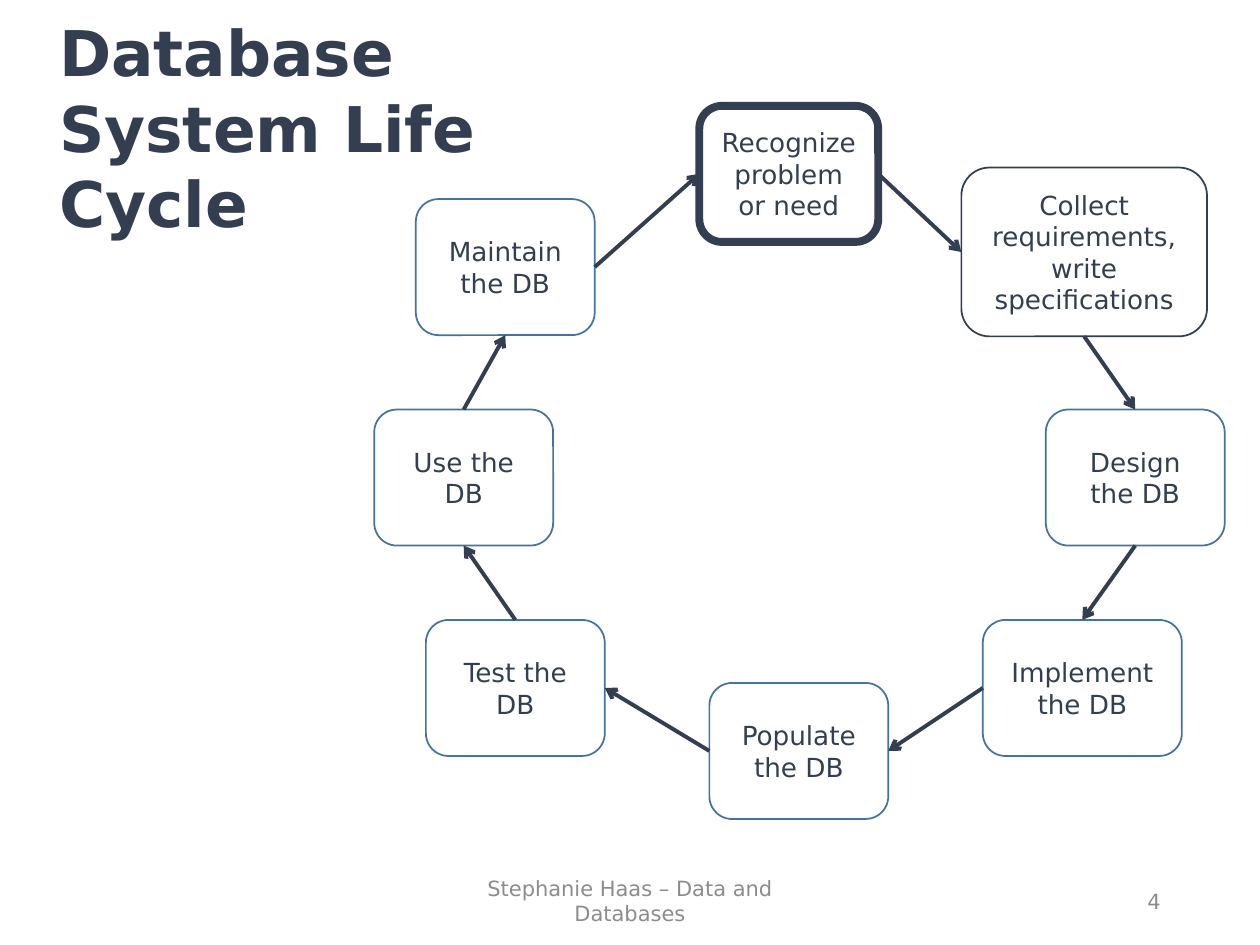
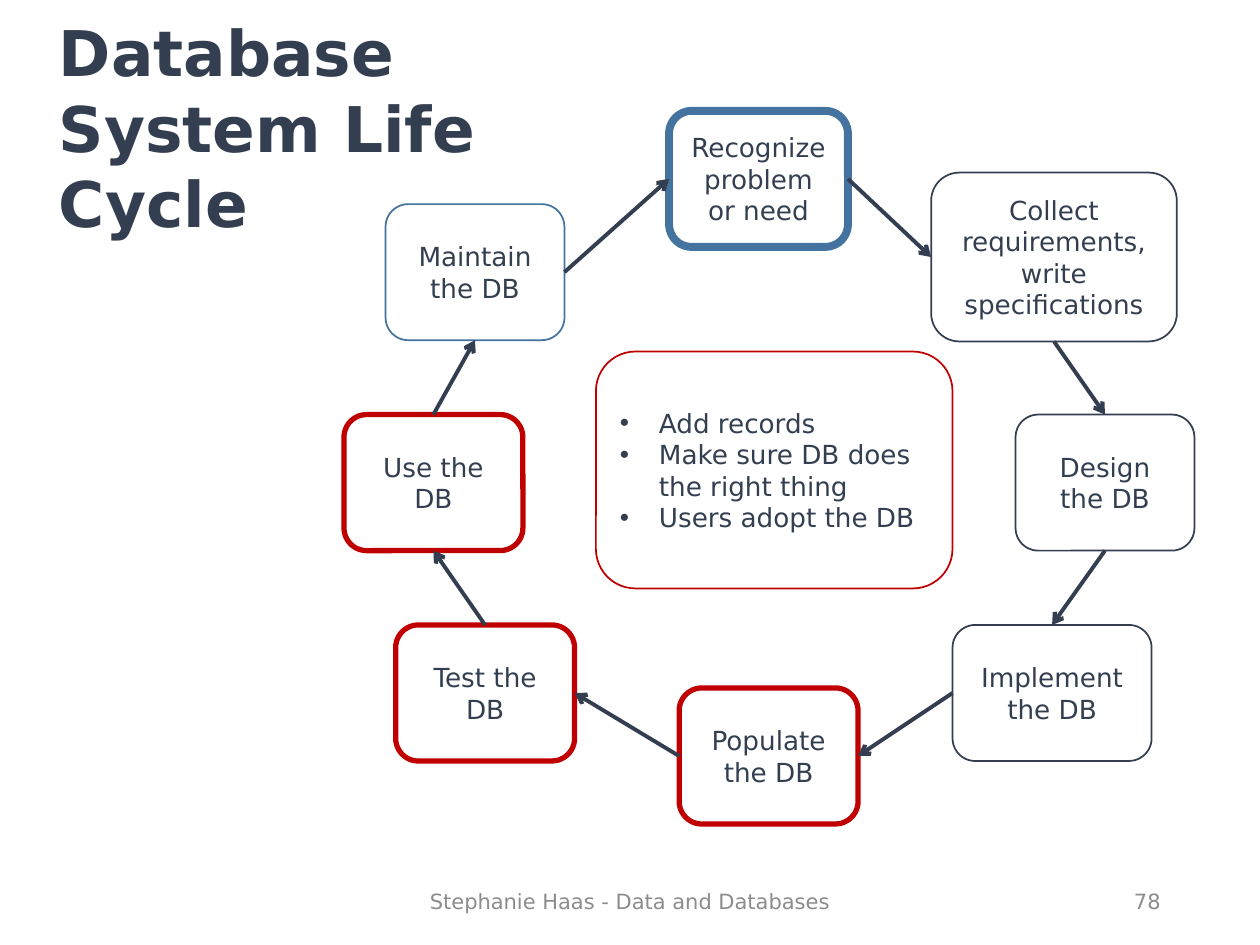
from dataclasses import dataclass

from lxml import etree
from pptx import Presentation
from pptx.dml.color import RGBColor
from pptx.enum.shapes import MSO_CONNECTOR, MSO_SHAPE
from pptx.enum.text import MSO_ANCHOR, MSO_AUTO_SIZE, PP_ALIGN
from pptx.oxml.ns import qn
from pptx.util import Inches, Pt

ROUNDED, STRAIGHT = MSO_SHAPE.ROUNDED_RECTANGLE, MSO_CONNECTOR.STRAIGHT
LEFT, CENTER, RIGHT = PP_ALIGN.LEFT, PP_ALIGN.CENTER, PP_ALIGN.RIGHT
TOP, MIDDLE = MSO_ANCHOR.TOP, MSO_ANCHOR.MIDDLE
# Connection sites of a rounded rectangle
SITE_TOP, SITE_LEFT, SITE_BOTTOM, SITE_RIGHT = range(4)


@dataclass(frozen=True)
class Theme:
    font: str = "DejaVu Sans"
    ink: str = "333F50"
    blue: str = "43739E"
    red: str = "C00000"
    grey: str = "8C8C8C"
    title_size: float = 36
    body_size: float = 15
    footer_size: float = 12
    thin: float = 1
    arrow: float = 2.25
    strong: float = 3
    heavy: float = 4.5


THEME = Theme()
TITLE_FORMAT = {"size": THEME.title_size, "color": THEME.ink, "bold": True}
BODY_FORMAT = {"size": THEME.body_size, "color": THEME.ink}
FOOTER_FORMAT = {"size": THEME.footer_size, "color": THEME.grey}

TITLE = "Database System Life Cycle"
STEP_WIDTH, STEP_HEIGHT = 1.42, 1.08
INDENT = 0.31

# Text, left, top, width, height, exit site, entry site of the next step
STEPS = [
    ("Recognize problem or need", 5.55, 0.84, STEP_WIDTH, STEP_HEIGHT, SITE_RIGHT, SITE_LEFT),
    ("Collect requirements, write specifications", 7.63, 1.33, 1.95, 1.34, SITE_BOTTOM, SITE_TOP),
    ("Design the DB", 8.3, 3.25, STEP_WIDTH, STEP_HEIGHT, SITE_BOTTOM, SITE_TOP),
    ("Implement the DB", 7.8, 4.92, 1.58, STEP_HEIGHT, SITE_LEFT, SITE_RIGHT),
    ("Populate the DB", 5.63, 5.42, STEP_WIDTH, STEP_HEIGHT, SITE_LEFT, SITE_RIGHT),
    ("Test the DB", 3.38, 4.92, STEP_WIDTH, STEP_HEIGHT, SITE_TOP, SITE_BOTTOM),
    ("Use the DB", 2.97, 3.25, STEP_WIDTH, STEP_HEIGHT, SITE_TOP, SITE_BOTTOM),
    ("Maintain the DB", 3.3, 1.58, STEP_WIDTH, STEP_HEIGHT, SITE_RIGHT, SITE_LEFT),
]

PLAIN = (THEME.blue, THEME.thin)
DONE = (THEME.ink, THEME.thin)
CURRENT = (THEME.red, THEME.strong)

SLIDES = [
    {
        "title_width": 4.95,
        "cycle_shift": (0, 0),
        "outlines": [(THEME.ink, THEME.heavy), DONE] + [PLAIN] * 6,
        "notes": [],
        "footer": "Stephanie Haas – Data and Databases",
        "number": "4",
    },
    {
        "title_width": 3.54,
        "cycle_shift": (-0.24, 0.04),
        "outlines": [(THEME.blue, THEME.heavy)] + [DONE] * 3 + [CURRENT] * 3 + [PLAIN],
        "notes": ["Add records", "Make sure DB does the right thing", "Users adopt the DB"],
        "footer": "Stephanie Haas - Data and Databases",
        "number": "78",
    },
]


def write(shape, paragraphs, text_format, align, anchor=MIDDLE, bullets=False):
    frame = shape.text_frame
    frame.word_wrap = True
    frame.vertical_anchor = anchor
    font_values = {"name": THEME.font, "size": Pt(text_format["size"]),
                   "bold": text_format.get("bold", False)}
    for index, text in enumerate(paragraphs):
        paragraph = frame.paragraphs[0] if index == 0 else frame.add_paragraph()
        paragraph.alignment = align
        if bullets:
            properties = paragraph._p.get_or_add_pPr()
            properties.set("marL", str(Inches(INDENT)))
            properties.set("indent", str(-Inches(INDENT)))
            etree.SubElement(properties, qn("a:buFont"), typeface="Arial")
            etree.SubElement(properties, qn("a:buChar"), char="•")
        run = paragraph.add_run()
        run.text = text
        for name, value in font_values.items():
            setattr(run.font, name, value)
        run.font.color.rgb = RGBColor.from_string(text_format["color"])


def add_label(slide, place, text, text_format, align, anchor=MIDDLE):
    label = slide.shapes.add_textbox(*map(Inches, place))
    write(label, [text], text_format, align, anchor)
    return label


def set_line(line, color, width):
    line.color.rgb = RGBColor.from_string(color)
    line.width = Pt(width)


def add_box(slide, place, outline, paragraphs, align=CENTER, bullets=False):
    box = slide.shapes.add_shape(ROUNDED, *map(Inches, place))
    box.shadow.inherit = False
    box.fill.background()
    set_line(box.line, *outline)
    write(box, paragraphs, BODY_FORMAT, align, bullets=bullets)
    return box


def add_arrow(slide, start, exit_site, end, entry_site):
    arrow = slide.shapes.add_connector(STRAIGHT, 0, 0, 0, 0)
    arrow.begin_connect(start, exit_site)
    arrow.end_connect(end, entry_site)
    set_line(arrow.line, THEME.ink, THEME.arrow)
    etree.SubElement(arrow.line._get_or_add_ln(), qn("a:tailEnd"), type="arrow")
    etree.SubElement(arrow._element.spPr, qn("a:effectLst"))


def add_cycle(slide, shift, outlines):
    """Draw the steps and join each to the next, the last to the first."""
    right, down = shift
    boxes = [
        add_box(slide, (left + right, top + down, width, height), outline, [text])
        for (text, left, top, width, height, *_), outline in zip(STEPS, outlines)
    ]
    for step, box, following in zip(STEPS, boxes, boxes[1:] + boxes[:1]):
        exit_site, entry_site = step[-2:]
        add_arrow(slide, box, exit_site, following, entry_site)


def add_life_cycle_slide(deck, content):
    slide = deck.slides.add_slide(deck.slide_layouts[6])
    add_cycle(slide, content["cycle_shift"], content["outlines"])
    if content["notes"]:
        add_box(slide, (4.73, 2.79, 2.83, 1.88), (THEME.red, THEME.thin),
                content["notes"], LEFT, bullets=True)
    title = add_label(slide, (0.37, 0.06, content["title_width"], 1.92),
                      TITLE, TITLE_FORMAT, LEFT, TOP)
    title.text_frame.auto_size = MSO_AUTO_SIZE.SHAPE_TO_FIT_TEXT
    add_label(slide, (3.31, 6.95, 3.38, 0.4), content["footer"], FOOTER_FORMAT, CENTER)
    add_label(slide, (7.06, 6.95, 2.25, 0.4), content["number"], FOOTER_FORMAT, RIGHT)


def main():
    deck = Presentation()
    deck.slide_width, deck.slide_height = Inches(10), Inches(7.5)
    for content in SLIDES:
        add_life_cycle_slide(deck, content)
    deck.save("out.pptx")


if __name__ == "__main__":
    main()
